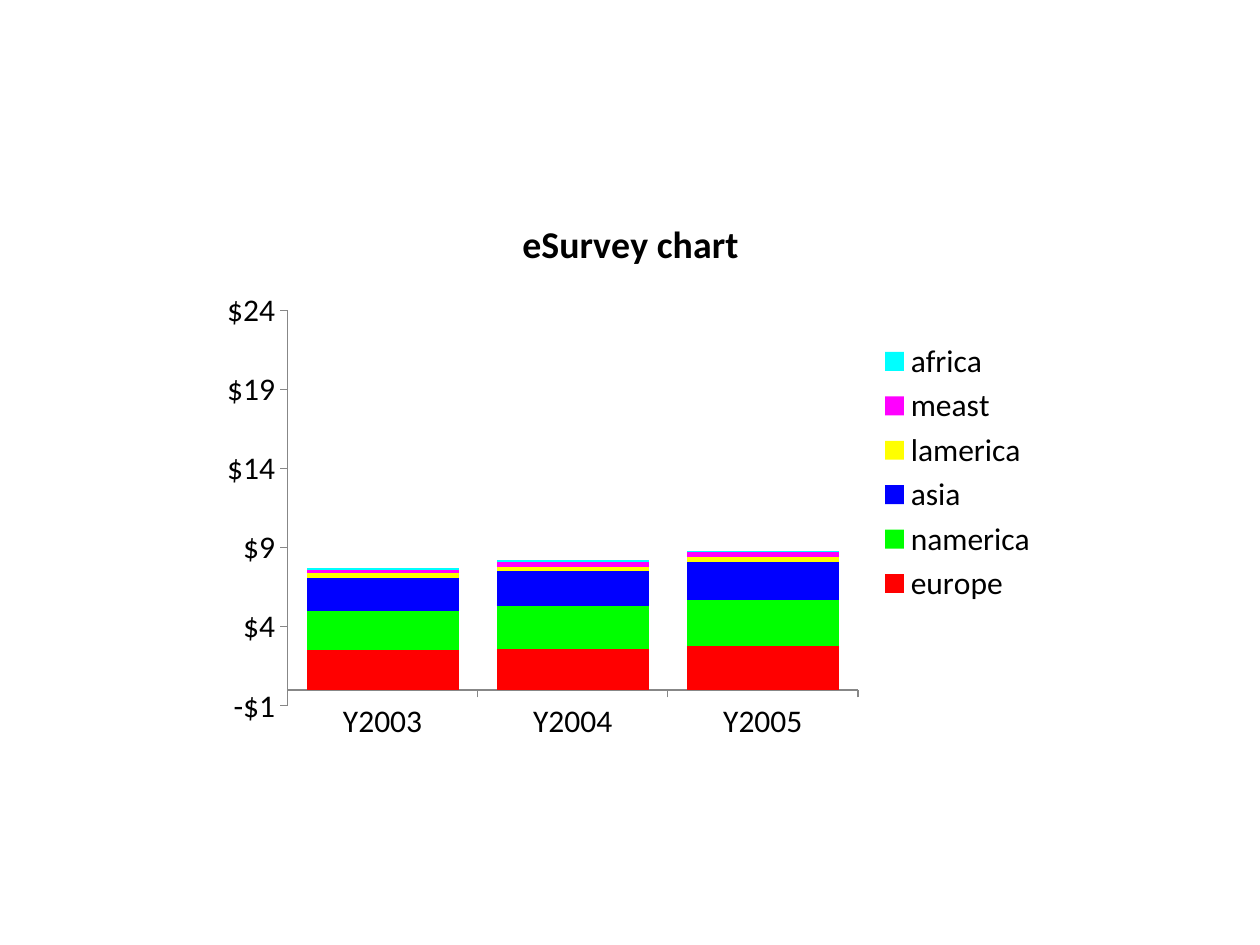
from dataclasses import dataclass
from typing import Any

from pptx import Presentation
from pptx.chart.data import CategoryChartData
from pptx.dml.color import RGBColor
from pptx.enum.chart import XL_CHART_TYPE, XL_LEGEND_POSITION, XL_TICK_MARK
from pptx.util import Inches, Pt


@dataclass(frozen=True)
class Theme:
    face: str = "Calibri"
    ink: str = "000000"
    rule: str = "878787"
    body: float = 18
    head: float = 21.6


@dataclass(frozen=True)
class Region:
    name: str
    color: str
    sales: tuple[float, ...]


THEME = Theme()
YEARS = ("Y2003", "Y2004", "Y2005")
REGIONS = (
    Region("europe", "FF0000", (2.5, 2.6, 2.8)),
    Region("namerica", "00FF00", (2.5, 2.7, 2.9)),
    Region("asia", "0000FF", (2.1, 2.2, 2.4)),
    Region("lamerica", "FFFF00", (0.3, 0.3, 0.3)),
    Region("meast", "FF00FF", (0.2, 0.3, 0.3)),
    Region("africa", "00FFFF", (0.1, 0.1, 0.1)),
)
AXIS = {
    "has_major_gridlines": False,
    "major_tick_mark": XL_TICK_MARK.OUTSIDE,
    "minor_tick_mark": XL_TICK_MARK.NONE,
}
SCALE = {"minimum_scale": -1, "maximum_scale": 24, "major_unit": 5}
LABELS = {"number_format": "$0", "number_format_is_linked": False}
LEGEND = {"position": XL_LEGEND_POSITION.RIGHT, "include_in_layout": False}
BARS = {"gap_width": 25, "overlap": 100, "vary_by_categories": False}


def apply(item: Any, values: dict[str, Any]) -> None:
    for key, value in values.items():
        setattr(item, key, value)


def style(font: Any, size: float, bold: bool = False) -> None:
    apply(font, {"name": THEME.face, "size": Pt(size), "bold": bold})
    font.color.rgb = RGBColor.from_string(THEME.ink)


def paint(series: Any, region: Region) -> None:
    series.format.fill.solid()
    series.format.fill.fore_color.rgb = RGBColor.from_string(region.color)
    series.invert_if_negative = False


def draw(slide: Any) -> None:
    data = CategoryChartData()
    data.categories = YEARS
    for region in REGIONS:
        data.add_series(region.name, region.sales)
    chart = slide.shapes.add_chart(
        XL_CHART_TYPE.COLUMN_STACKED,
        Inches(1.67), Inches(1.53), Inches(6.67), Inches(4.44), data,
    ).chart
    style(chart.font, THEME.body)

    frame = chart.chart_title.text_frame
    frame.text = "eSurvey chart"
    style(frame.paragraphs[0].runs[0].font, THEME.head, True)
    chart.chart_title.include_in_layout = False
    chart.has_legend = True
    apply(chart.legend, LEGEND)

    for axis in (chart.category_axis, chart.value_axis):
        apply(axis, AXIS)
        axis.format.line.color.rgb = RGBColor.from_string(THEME.rule)
        axis.format.line.width = Pt(0.75)
    apply(chart.value_axis, SCALE)
    apply(chart.value_axis.tick_labels, LABELS)

    plot = chart.plots[0]
    apply(plot, BARS)
    for series, region in zip(plot.series, REGIONS):
        paint(series, region)


def main() -> None:
    deck = Presentation()
    apply(deck, {"slide_width": Inches(10), "slide_height": Inches(7.5)})
    draw(deck.slides.add_slide(deck.slide_layouts[6]))
    deck.save("out.pptx")


main()
